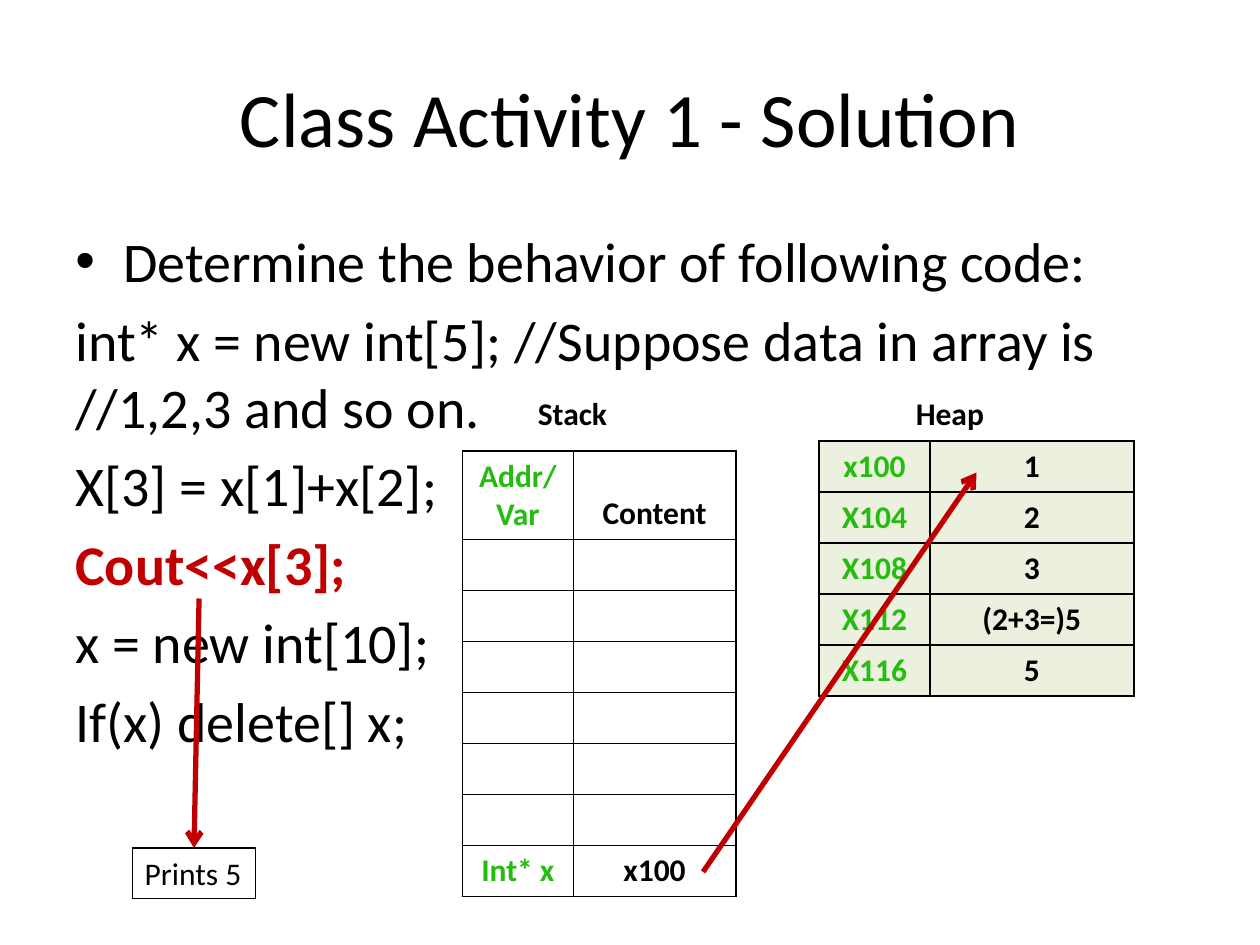
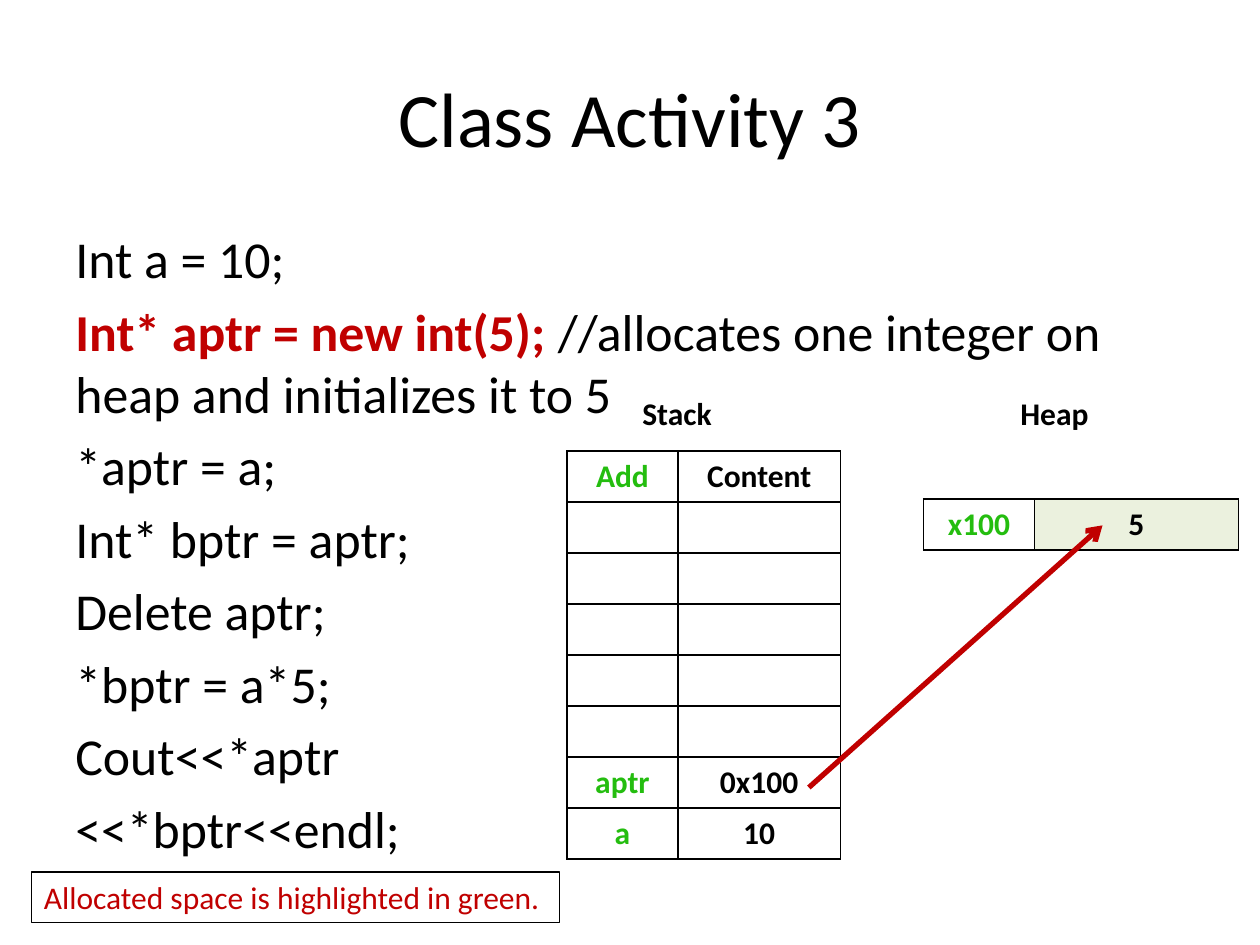
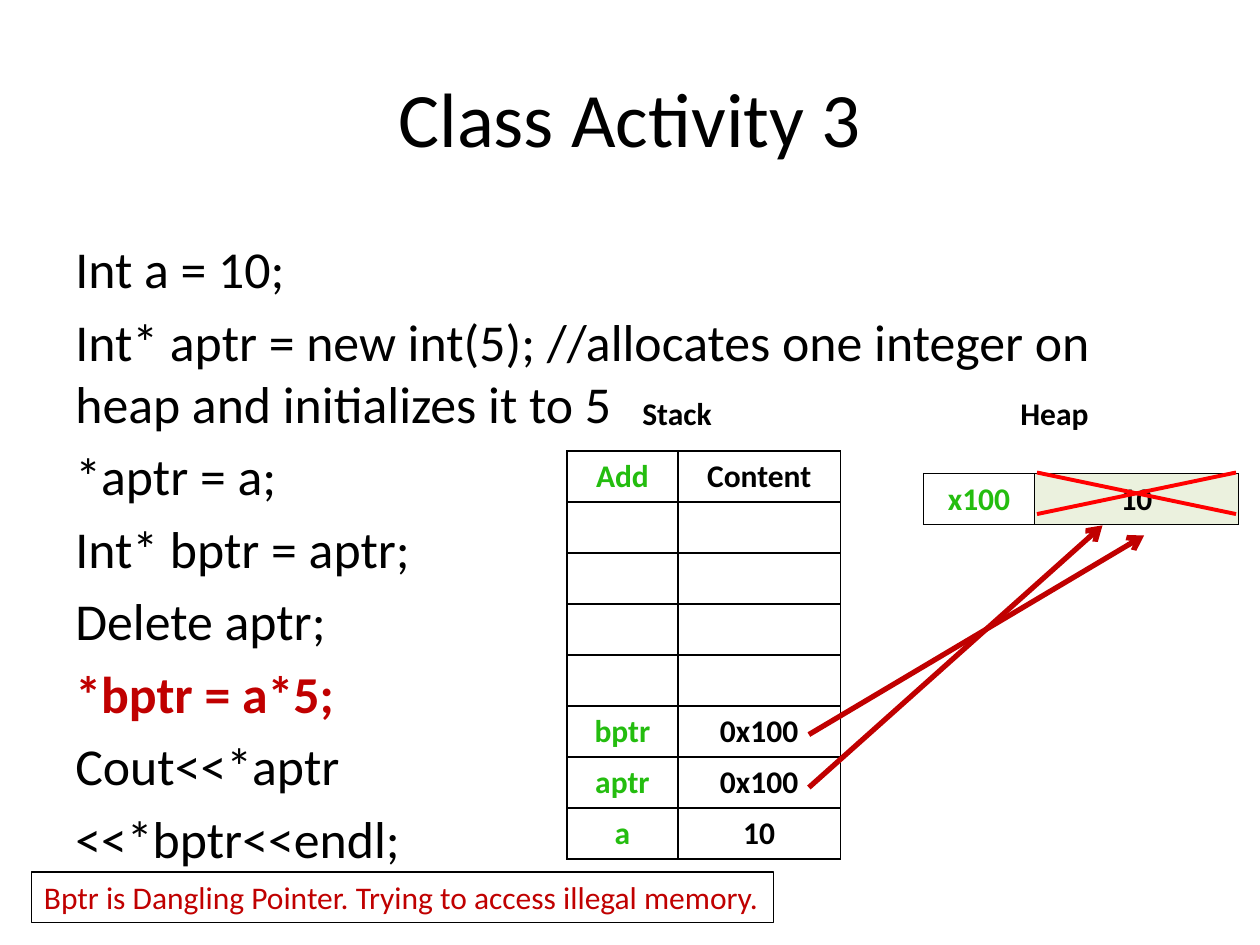
from lxml.etree import SubElement
from pptx import Presentation
from pptx.dml.color import RGBColor
from pptx.enum.shapes import MSO_CONNECTOR as Connector, MSO_SHAPE as Preset
from pptx.enum.text import MSO_ANCHOR as Anchor, MSO_AUTO_SIZE as AutoSize, PP_ALIGN as Align
from pptx.oxml.ns import qn
from pptx.util import Inches, Pt

BLACK = RGBColor(0x00, 0x00, 0x00)
DARK_RED = RGBColor(0xC0, 0x00, 0x00)
RED = RGBColor(0xFF, 0x00, 0x00)
GREEN = RGBColor(0x24, 0xBD, 0x0F)
PALE_GREEN = RGBColor(0xEB, 0xF1, 0xDE)

FONT = "Calibri"
MARGIN, CONTENT_WIDTH = 0.5, 9
ADDRESS_WIDTH, STACK_WIDTH, HEAP_WIDTH = 0.88, 2.17, 2.5
STACK_TOP, LABEL_TOP = 3.58, 3.08
ROW_HEIGHT = Inches(3.24) // 8
EMPTY = ("", "")

POINTER_CODE = [
    "Int a = 10;",
    "Int* aptr = new int(5); //allocates one integer on heap and initializes it to 5",
    "*aptr = a;",
    "Int* bptr = aptr;",
    "Delete aptr;",
    "*bptr = a*5;",
    "Cout<<*aptr",
    "<<*bptr<<endl;",
]
STACK_BASE = [("aptr", "0x100"), ("a", "10")]
APTR_ARROW = ((6.42, 6.25), (8.75, 4.17))

ACTIVITIES = [
    dict(
        title="Class Activity 1 - Solution",
        intro="Determine the behavior of following code:",
        code=[
            "int* x = new int[5]; //Suppose data in array is //1,2,3 and so on.",
            "X[3] = x[1]+x[2];",
            "Cout<<x[3];",
            "x = new int[10];",
            "If(x) delete[] x;",
        ],
        current="Cout<<x[3];", code_top=1.75, code_size=32,
        stack=[("Addr/Var", "Content")] + [EMPTY] * 6 + [("Int* x", "x100")],
        heap=[("x100", "1"), ("X104", "2"), ("X108", "3"), ("X112", "(2+3=)5"), ("X116", "5")],
        stack_left=3.67, heap_left=6.5, heap_top=3.5, shade_address=True,
        arrows=[((1.58, 4.75), (1.54, 6.73)), ((5.58, 6.92), (7.75, 3.75))],
        note="Prints 5", note_box=(1.05, 6.73, 0.98, 0.4), note_color=BLACK,
    ),
    dict(
        title="Class Activity 3",
        code=POINTER_CODE,
        current="Int* aptr = new int(5); ", code_top=1.75, code_size=29.6,
        stack=[("Add", "Content")] + [EMPTY] * 5 + STACK_BASE,
        heap=[("x100", "5")],
        stack_left=4.5, heap_left=7.33, heap_top=3.96,
        arrows=[APTR_ARROW],
        note="Allocated space is highlighted in green.",
        note_box=(0.25, 6.92, 4.19, 0.4), note_color=DARK_RED,
    ),
    dict(
        title="Class Activity 3",
        code=POINTER_CODE,
        current="*bptr = a*5;", code_top=1.83, code_size=29.6,
        stack=[("Add", "Content")] + [EMPTY] * 4 + [("bptr", "0x100")] + STACK_BASE,
        heap=[("x100", "10")],
        stack_left=4.5, heap_left=7.33, heap_top=3.76,
        arrows=[APTR_ARROW, ((6.42, 5.83), (9.08, 4.25))],
        cross=(8.23, 3.75, 9.81, 4.08),
        note="Bptr is Dangling Pointer. Trying to access illegal memory.",
        note_box=(0.25, 6.92, 5.89, 0.4), note_color=DARK_RED,
    ),
]


def write(paragraph, text, size=18, color=BLACK, bold=False):
    run = paragraph.add_run()
    run.text = text
    for key, value in dict(name=FONT, size=Pt(size), bold=bold).items():
        setattr(run.font, key, value)
    run.font.color.rgb = color


def add_text(slide, box, **frame_format):
    frame = slide.shapes.add_textbox(*map(Inches, box)).text_frame
    for key, value in frame_format.items():
        setattr(frame, key, value)
    return frame


def add_title(slide, title):
    frame = add_text(slide, (MARGIN, 0.3, CONTENT_WIDTH, 1.25),
                     word_wrap=True, vertical_anchor=Anchor.MIDDLE)
    frame.paragraphs[0].alignment = Align.CENTER
    write(frame.paragraphs[0], title, 44)


def add_code(slide, activity):
    top, size = activity["code_top"], activity["code_size"]
    frame = add_text(slide, (MARGIN, top, CONTENT_WIDTH, 6.7 - top), word_wrap=True)
    intro = activity.get("intro")
    for index, line in enumerate(([intro] if intro else []) + activity["code"]):
        paragraph = frame.add_paragraph() if index else frame.paragraphs[0]
        paragraph.space_before = Pt(size * 0.2)
        if line == intro:
            properties = paragraph._p.get_or_add_pPr()
            properties.set("marL", str(Inches(0.38)))
            properties.set("indent", str(-Inches(0.38)))
            SubElement(properties, qn("a:buFont"), typeface="Arial")
            SubElement(properties, qn("a:buChar"), char="•")
        before, current, after = line.partition(activity["current"])
        for text, color, bold in ((before, BLACK, False), (current, DARK_RED, True), (after, BLACK, False)):
            if text:
                write(paragraph, text, size, color, bold)


def add_borders(cell):
    properties = cell._tc.get_or_add_tcPr()
    for index, side in enumerate(("lnL", "lnR", "lnT", "lnB")):
        border = properties.makeelement(qn(f"a:{side}"), {"w": str(Pt(1))})
        SubElement(SubElement(border, qn("a:solidFill")), qn("a:srgbClr"), val=str(BLACK))
        properties.insert(index, border)


def add_memory(slide, rows, left, top, width, shaded=(), header_anchor=Anchor.TOP):
    table = slide.shapes.add_table(len(rows), 2, Inches(left), Inches(top),
                                   Inches(width), ROW_HEIGHT * len(rows)).table
    table.first_row = table.horz_banding = False
    for column, share in zip(table.columns, (ADDRESS_WIDTH, width - ADDRESS_WIDTH)):
        column.width = Inches(share)
    for r, row in enumerate(rows):
        table.rows[r].height = ROW_HEIGHT
        for c, text in enumerate(row):
            cell = table.cell(r, c)
            cell.vertical_anchor = Anchor.TOP if r else header_anchor
            if c in shaded:
                cell.fill.solid()
                cell.fill.fore_color.rgb = PALE_GREEN
            else:
                cell.fill.background()
            add_borders(cell)
            paragraph = cell.text_frame.paragraphs[0]
            paragraph.alignment = Align.CENTER
            if text:
                write(paragraph, text, color=(GREEN, BLACK)[c], bold=True)


def add_label(slide, text, left, width):
    frame = add_text(slide, (left, LABEL_TOP, width, 0.4),
                     word_wrap=False, auto_size=AutoSize.SHAPE_TO_FIT_TEXT)
    write(frame.paragraphs[0], text, bold=True)


def add_line(slide, start, end, color, weight, arrow=False):
    connector = slide.shapes.add_connector(Connector.STRAIGHT, *map(Inches, start + end))
    connector.line.color.rgb = color
    connector.line.width = Pt(weight)
    if arrow:
        SubElement(connector.line._get_or_add_ln(), qn("a:tailEnd"), type="arrow")
    SubElement(connector._element.spPr, qn("a:effectLst"))


def add_note(slide, text, box, color):
    note = slide.shapes.add_shape(Preset.RECTANGLE, *map(Inches, box))
    note.shadow.inherit = False
    note.fill.background()
    note.line.color.rgb = BLACK
    note.line.width = Pt(0.75)
    frame = note.text_frame
    for key, value in dict(word_wrap=False, auto_size=AutoSize.SHAPE_TO_FIT_TEXT,
                           vertical_anchor=Anchor.TOP).items():
        setattr(frame, key, value)
    frame.paragraphs[0].alignment = Align.LEFT
    write(frame.paragraphs[0], text, color=color)


def build(slide, activity):
    stack_left, heap_left = activity["stack_left"], activity["heap_left"]
    shade_address = activity.get("shade_address")
    add_title(slide, activity["title"])
    add_code(slide, activity)
    add_memory(slide, activity["stack"], stack_left, STACK_TOP, STACK_WIDTH,
               header_anchor=Anchor.BOTTOM if shade_address else Anchor.TOP)
    add_memory(slide, activity["heap"], heap_left, activity["heap_top"], HEAP_WIDTH,
               shaded=(0, 1) if shade_address else (1,))
    add_label(slide, "Heap", heap_left + 0.67, 0.74)
    add_label(slide, "Stack", stack_left + 0.5, 0.76)
    for start, end in activity["arrows"]:
        add_line(slide, start, end, DARK_RED, 3, arrow=True)
    if "cross" in activity:
        left, top, right, bottom = activity["cross"]
        add_line(slide, (left, top), (right, bottom), RED, 2.25)
        add_line(slide, (right, top), (left, bottom), RED, 2.25)
    add_note(slide, activity["note"], activity["note_box"], activity["note_color"])


def main():
    deck = Presentation()
    deck.slide_width, deck.slide_height = Inches(10), Inches(7.5)
    for activity in ACTIVITIES:
        build(deck.slides.add_slide(deck.slide_layouts[6]), activity)
    deck.save("out.pptx")


if __name__ == "__main__":
    main()
